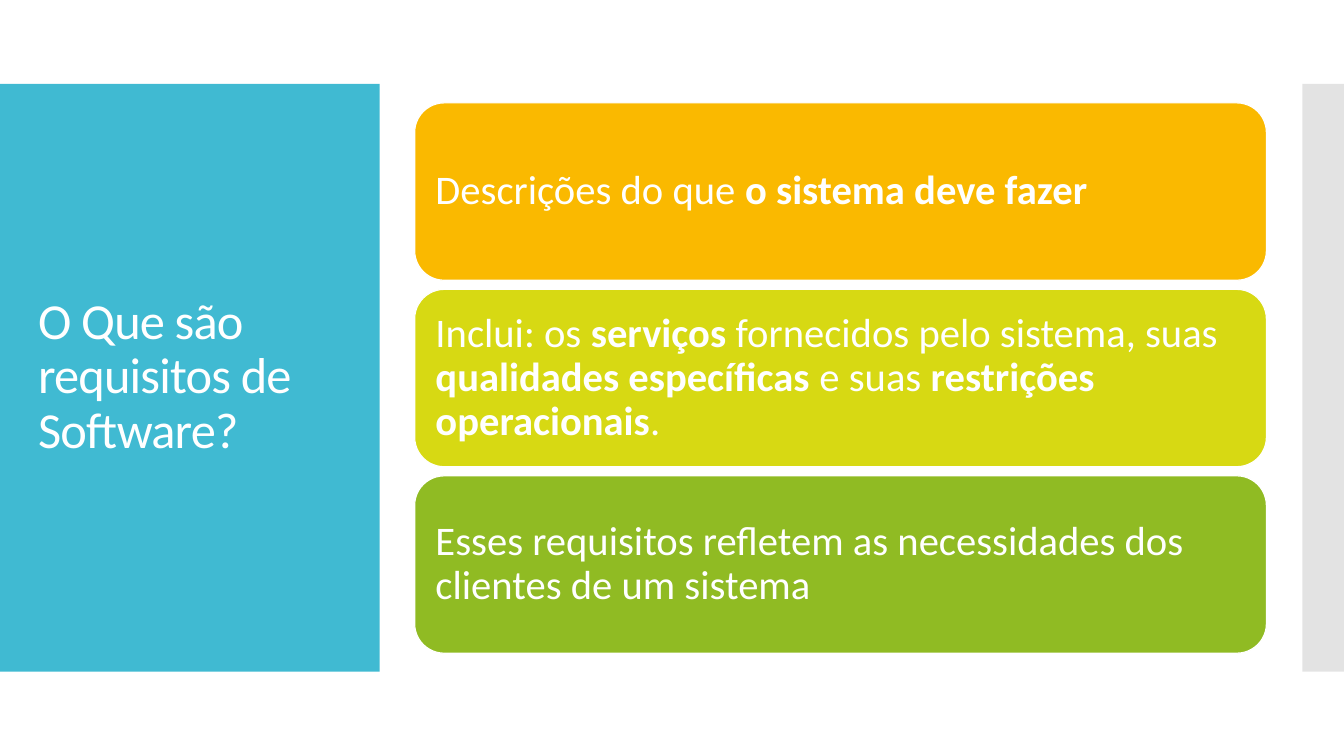
from pptx import Presentation
from pptx.dml.color import RGBColor
from pptx.enum.shapes import MSO_SHAPE as Shape
from pptx.enum.text import MSO_ANCHOR as Anchor, MSO_AUTO_SIZE as AutoSize, PP_ALIGN as Align
from pptx.oxml.ns import qn
from pptx.util import Pt
from lxml import etree

WHITE = RGBColor(0xFF, 0xFF, 0xFF)
BLUE = RGBColor(0x40, 0xBA, 0xD2)
GRAY = RGBColor(0xC8, 0xC8, 0xC8)
ORANGE = RGBColor(0xFA, 0xB9, 0x00)
LIME = RGBColor(0xD7, 0xD9, 0x13)
GREEN = RGBColor(0x90, 0xBB, 0x23)

# Card colour and its text runs, as (text, bold)
CARDS = [
    (ORANGE, [("Descrições do que ", False), ("o sistema deve fazer", True)]),
    (LIME, [("Inclui: os ", False), ("serviços ", True),
            ("fornecidos pelo sistema, suas ", False), ("qualidades específicas ", True),
            ("e suas ", False), ("restrições operacionais", True), (".", False)]),
    (GREEN, [("Esses requisitos refletem as necessidades dos clientes de um sistema", False)]),
]
CARD_TOP, CARD_HEIGHT, CARD_PITCH = 73.5, 126.7, 133.2


def add_box(kind, left, top, width, height, color):
    shape = slide.shapes.add_shape(kind, Pt(left), Pt(top), Pt(width), Pt(height))
    shape.shadow.inherit = False
    shape.fill.solid()
    shape.fill.fore_color.rgb = color
    shape.line.fill.background()
    return shape


def format_run(run, size, bold=False):
    run.font.name = "Calibri"
    run.font.size = Pt(size)
    run.font.bold = bold
    run.font.color.rgb = WHITE


presentation = Presentation()
presentation.slide_width, presentation.slide_height = Pt(960), Pt(540)
slide = presentation.slides.add_slide(presentation.slide_layouts[5])

# Side panels, the right one half transparent
add_box(Shape.RECTANGLE, 0, 60, 271.2, 419.8, BLUE)
side_band = add_box(Shape.RECTANGLE, 930.3, 60, 29.7, 419.8, GRAY)
band_color = side_band.fill._xPr.find(qn("a:solidFill"))[0]
etree.SubElement(band_color, qn("a:alpha")).set("val", "50000")

# Title, brought in front of the blue panel
title = slide.shapes.title
slide.shapes._spTree.append(title._element)
title.left, title.top, title.width, title.height = Pt(20), Pt(88.5), Pt(232), Pt(362)
title.text_frame.text = "O Que são requisitos de Software?"
title.text_frame.vertical_anchor = Anchor.MIDDLE
title.text_frame.auto_size = AutoSize.NONE
paragraph = title.text_frame.paragraphs[0]
paragraph.alignment = Align.LEFT
paragraph.line_spacing = 0.9
format_run(paragraph.runs[0], 36)
paragraph.runs[0].font._element.set("spc", "-60")

# Stacked cards
for index, (color, runs) in enumerate(CARDS):
    card = add_box(Shape.ROUNDED_RECTANGLE, 296.2, CARD_TOP + index * CARD_PITCH,
                   608.4, CARD_HEIGHT, color)
    card.line.color.rgb = WHITE
    card.line.width = Pt(0.85)
    frame = card.text_frame
    frame.word_wrap = True
    frame.vertical_anchor = Anchor.MIDDLE
    frame.margin_left = frame.margin_right = Pt(8.7)
    frame.margin_top = frame.margin_bottom = Pt(8.7)
    paragraph = frame.paragraphs[0]
    paragraph.alignment = Align.LEFT
    paragraph.line_spacing = 0.9
    for text, bold in runs:
        run = paragraph.add_run()
        run.text = text
        format_run(run, 29, bold)

presentation.save("out.pptx")
